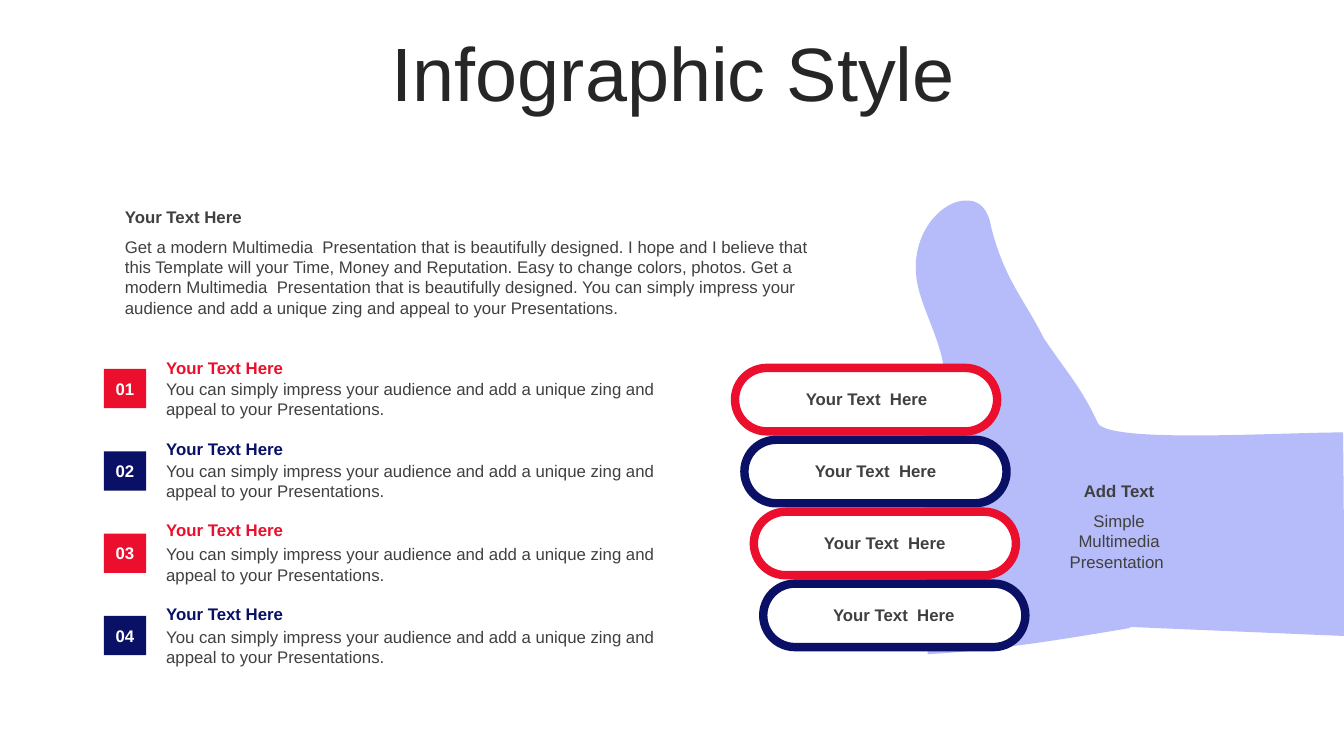
from lxml import etree
from pptx import Presentation
from pptx.dml.color import RGBColor
from pptx.enum import shapes, text
from pptx.oxml.ns import qn
from pptx.util import Inches, Pt

COLORS = {"red": "EC0F2D", "navy": "091066", "hand": "B6BBF9",
          "title": "262626", "body": "404040", "white": "FFFFFF"}
ACCENTS = ["red", "navy", "red", "navy"]
HEADING_TOPS = [3.5, 4.3, 5.11, 5.94]
BODY_TOPS = [3.71, 4.52, 5.35, 6.17]
ITEM_TEXT = ("You can simply impress your audience and add a unique zing "
             "and appeal to your Presentations.")
INTRO = ("Get a modern Multimedia  Presentation that is beautifully designed. "
         "I hope and I believe that this Template will your Time, Money and "
         "Reputation. Easy to change colors, photos. Get a modern Multimedia  "
         "Presentation that is beautifully designed. You can simply impress your "
         "audience and add a unique zing and appeal to your Presentations.")

# Each row holds two control points and an end point; a single point is a line.
HAND_START = (9.6, 1.99)
HAND_OUTLINE = [
    [(9.71, 1.99), (9.8, 2.07), (9.83, 2.25)],
    [(9.96, 2.77), (10.16, 2.97), (10.35, 3.35)],
    [(10.56, 3.67), (10.72, 3.83), (10.89, 4.2)],
    [(11.01, 4.4), (12.69, 4.29), (13.32, 4.29)],
    [(13.33, 4.96), (13.33, 5.64), (13.33, 6.31)],
    [(11.21, 6.22)],
    [(11.21, 6.23)],
    [(10.33, 6.38), (9.77, 6.46), (9.2, 6.49)],
    [(9.16, 3.96)],
    [(9.33, 3.86), (9.22, 3.94), (9.35, 3.8)],
    [(9.42, 3.51), (9.13, 3.08), (9.09, 2.76)],
    [(9.03, 2.3), (9.36, 1.97), HAND_START],
]


def rgb(name):
    return RGBColor.from_string(COLORS[name])


def spread(first, last, count=4):
    """Return evenly spaced positions from first to last."""
    return [first + (last - first) * i / (count - 1) for i in range(count)]


def write(shape, wording, color="body", size=12, bold=False, center=False,
          middle=False, line_spacing=None):
    frame = shape.text_frame
    frame.word_wrap = True
    frame.vertical_anchor = text.MSO_ANCHOR.MIDDLE if middle else text.MSO_ANCHOR.TOP
    paragraph = frame.paragraphs[0]
    paragraph.text = wording
    paragraph.alignment = text.PP_ALIGN.CENTER if center else text.PP_ALIGN.LEFT
    paragraph.line_spacing = line_spacing
    for name, value in {"name": "Arial", "size": Pt(size), "bold": bold}.items():
        setattr(paragraph.font, name, value)
    paragraph.font.color.rgb = rgb(color)


def add_text(slide, box, wording, **style):
    write(slide.shapes.add_textbox(*map(Inches, box)), wording, **style)


def paint(shape, fill, line=None, width=6):
    shape.shadow.inherit = False
    shape.fill.solid()
    shape.fill.fore_color.rgb = rgb(fill)
    if line:
        shape.line.color.rgb = rgb(line)
        shape.line.width = Pt(width)
    else:
        shape.line.fill.background()


def bend(shape, outline):
    """Turn the straight sides of a freeform into the curves of its outline."""
    sides = list(shape.element.iter(qn("a:lnTo")))
    for side, (*controls, _) in zip(sides, outline):
        if not controls:
            continue
        side.tag = qn("a:cubicBezTo")
        for index, (x, y) in enumerate(controls):
            point = etree.Element(qn("a:pt"), x=str(Inches(x) - shape.left),
                                  y=str(Inches(y) - shape.top))
            side.insert(index, point)


def add_hand(slide):
    builder = slide.shapes.build_freeform(*map(Inches, HAND_START))
    ends = [tuple(map(Inches, segment[-1])) for segment in HAND_OUTLINE]
    builder.add_line_segments(ends, close=True)
    hand = builder.convert_to_shape()
    bend(hand, HAND_OUTLINE)
    paint(hand, "hand")


def add_finger(slide, left, top, accent):
    finger = slide.shapes.add_shape(shapes.MSO_SHAPE.ROUNDED_RECTANGLE,
                                    *map(Inches, (left, top, 2.6, 0.63)))
    finger.adjustments[0] = 0.5
    paint(finger, "white", line=accent)


def add_badge(slide, top, number, accent):
    badge = slide.shapes.add_shape(shapes.MSO_SHAPE.RECTANGLE,
                                   *map(Inches, (1.03, top, 0.42, 0.39)))
    paint(badge, accent)
    write(badge, f"{number:02}", color="white", bold=True, center=True, middle=True)
    badge.text_frame.margin_left = badge.text_frame.margin_right = 0


def main():
    deck = Presentation()
    deck.slide_width, deck.slide_height = Inches(13.33), Inches(7.5)
    slide = deck.slides.add_slide(deck.slide_layouts[6])

    add_text(slide, (0.35, 0.37, 12.66, 0.79), "Infographic Style", color="title",
             size=54, center=True, middle=True, line_spacing=0.9)
    add_hand(slide)
    for left, top, accent in zip(spread(7.29, 7.57), spread(3.65, 5.79), ACCENTS):
        add_finger(slide, left, top, accent)
    for left, top in zip(spread(7.6, 7.87), spread(3.81, 5.95)):
        add_text(slide, (left, top, 1.99, 0.3), "Your Text  Here", bold=True, center=True)

    for heading_top, body_top, accent in zip(HEADING_TOPS, BODY_TOPS, ACCENTS):
        add_text(slide, (1.55, body_top, 5.13, 0.5), ITEM_TEXT)
        add_text(slide, (1.55, heading_top, 5.13, 0.3), "Your Text Here",
                 color=accent, bold=True)

    add_text(slide, (10.4, 4.72, 1.4, 0.3), "Add Text", bold=True, center=True)
    add_text(slide, (10.4, 5.02, 1.4, 0.71), "Simple Multimedia Presentation ", center=True)
    add_text(slide, (1.14, 2.3, 7.15, 0.91), INTRO)
    add_text(slide, (1.14, 2, 7.15, 0.3), "Your Text Here", bold=True)
    for number, (top, accent) in enumerate(zip(spread(3.66, 6.11), ACCENTS), 1):
        add_badge(slide, top, number, accent)
    deck.save("out.pptx")


if __name__ == "__main__":
    main()
